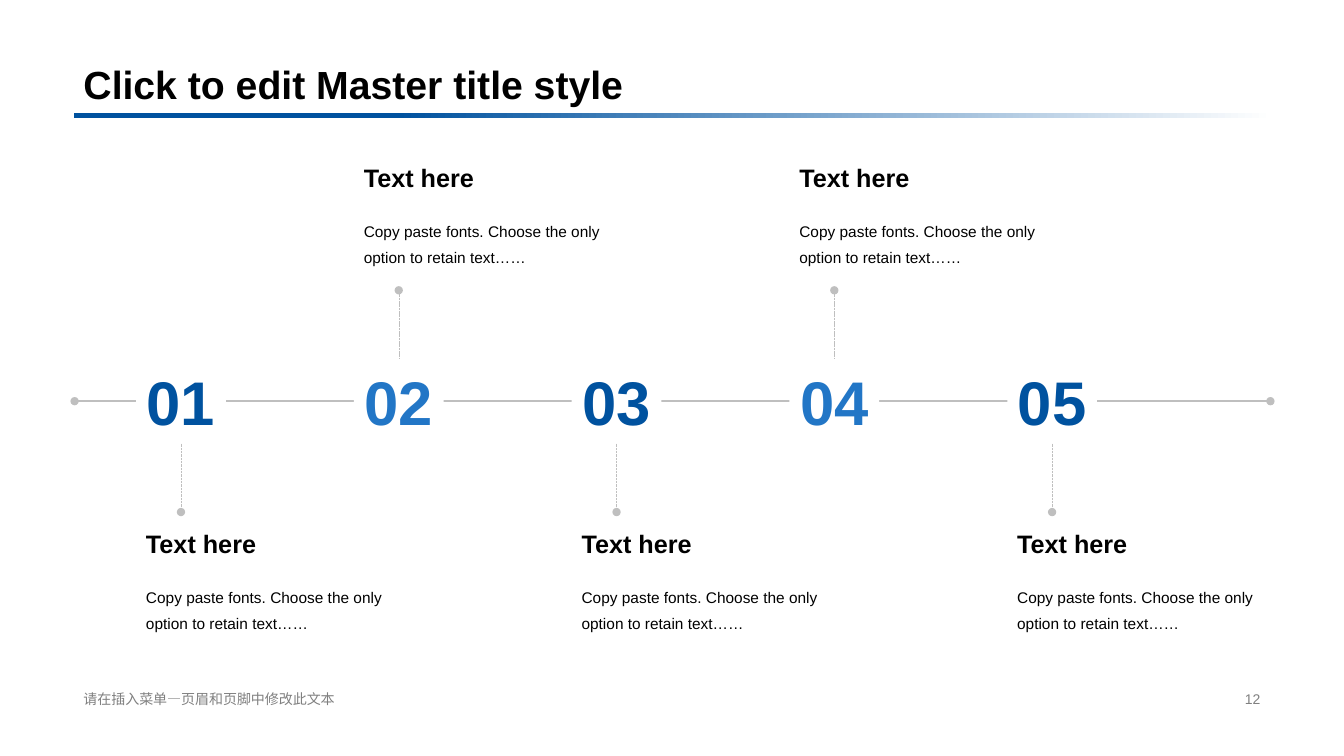
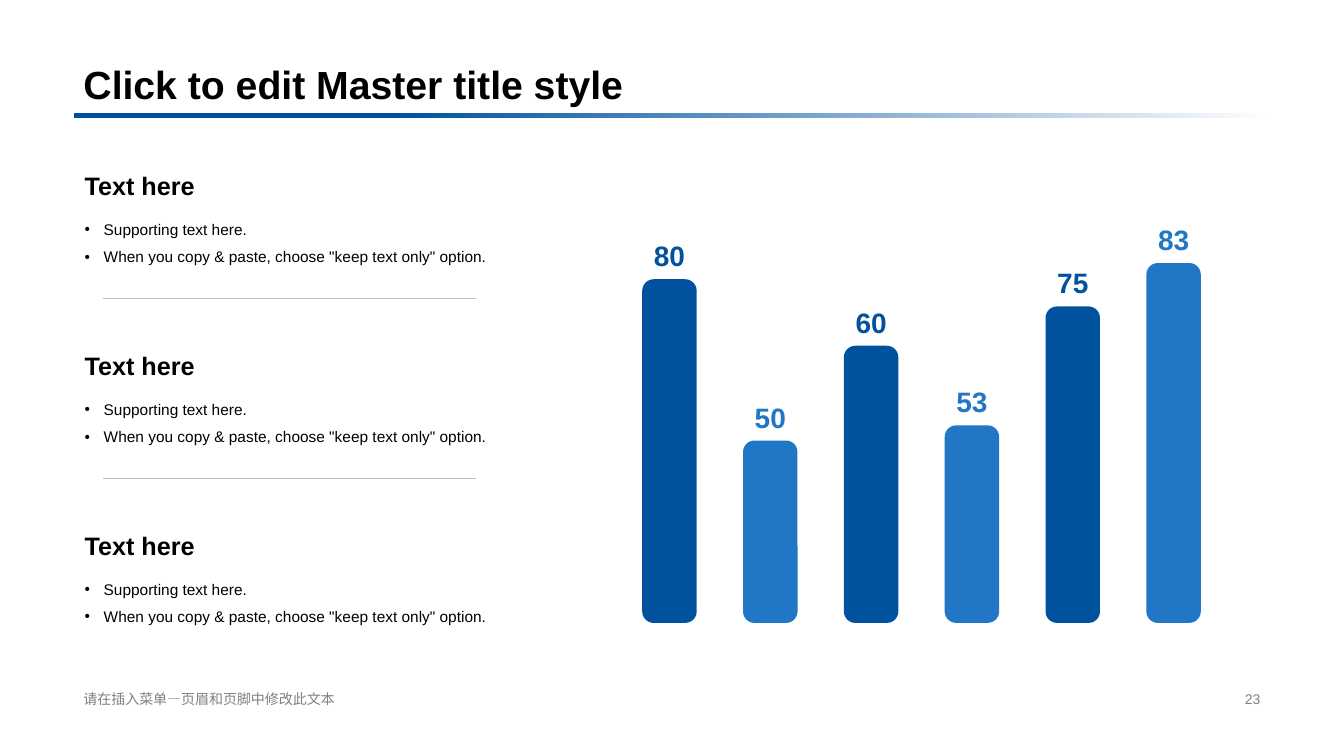
from pptx import Presentation
from pptx.dml.color import RGBColor
from pptx.enum.dml import MSO_LINE
from pptx.enum.shapes import MSO_CONNECTOR, MSO_SHAPE
from pptx.enum.text import MSO_ANCHOR, PP_ALIGN
from pptx.oxml.ns import qn
from pptx.util import Inches, Pt
from lxml.etree import SubElement

NAVY = RGBColor(0x00, 0x52, 0x9F)
BLUE = RGBColor(0x22, 0x76, 0xC6)
BLACK = RGBColor(0, 0, 0)
WHITE = RGBColor(0xFF, 0xFF, 0xFF)
GRAY = RGBColor(0x80, 0x80, 0x80)
SILVER = RGBColor(0xBF, 0xBF, 0xBF)
TINTS = NAVY, BLUE
FONT = "Arial"

TITLE = "Click to edit Master title style"
FOOTER = "请在插入菜单—页眉和页脚中修改此文本"

STEPS = [
    (num, "Text here",
     "Copy paste fonts. Choose the only option to retain text……")
    for num in ("01", "02", "03", "04", "05")
]
POINTS = [
    ("Text here",
     ["Supporting text here.",
      'When you copy & paste, choose "keep text only" option.'])
] * 3
# value shown, bar height in inches
BARS = [("80", 3.41), ("50", 1.81), ("60", 2.75),
        ("53", 1.96), ("75", 3.14), ("83", 3.57)]


def box(x, y, w, h):
    return Inches(x), Inches(y), Inches(w), Inches(h)


def write(shape, lines, size, color=BLACK, bold=False, align=PP_ALIGN.LEFT,
          anchor=MSO_ANCHOR.MIDDLE, space=None, bullet=False, wrap=True):
    """Fill a shape with one paragraph per line, all in the same style."""
    frame = shape.text_frame
    frame.text = "\n".join(lines)
    frame.word_wrap = wrap
    frame.vertical_anchor = anchor
    for para in frame.paragraphs:
        if bullet:
            props = para._p.get_or_add_pPr()
            props.set("marL", str(Inches(0.19)))
            props.set("indent", str(-Inches(0.19)))
            SubElement(props, qn("a:buFont")).set("typeface", FONT)
            SubElement(props, qn("a:buChar")).set("char", "•")
        para.alignment = align
        if space:
            para.line_spacing = space
        for run in para.runs:
            font = run.font
            font.name, font.size, font.bold = FONT, Pt(size), bold
            font.color.rgb = color


def add_text(slide, place, lines, size, **style):
    write(slide.shapes.add_textbox(*box(*place)), lines, size, **style)


def add_block(slide, kind, place, color):
    block = slide.shapes.add_shape(kind, *box(*place))
    block.shadow.inherit = False
    block.line.fill.background()
    block.fill.solid()
    block.fill.fore_color.rgb = color
    return block


def add_line(slide, x1, y1, x2, y2, width=0.25, dash=None, ends=()):
    """Draw a line; ends names the XML line ends that get a dot."""
    line = slide.shapes.add_connector(
        MSO_CONNECTOR.STRAIGHT, Inches(x1), Inches(y1), Inches(x2), Inches(y2))
    line.line.color.rgb = SILVER
    line.line.width = Pt(width)
    if dash:
        line.line.dash_style = dash
    props = line._element.spPr
    for end in ends:
        SubElement(props.find(qn("a:ln")), qn(end)).set("type", "oval")
    SubElement(props, qn("a:effectLst"))
    return line


def add_page(deck, number):
    slide = deck.slides.add_slide(deck.slide_layouts[6])
    band = add_block(slide, MSO_SHAPE.RECTANGLE, (0.73, 1.12, 11.89, 0.05), NAVY)
    band.fill.gradient()
    band.fill.gradient_angle = 0
    for stop, place, color in zip(band.fill.gradient_stops, (0.27, 1), (NAVY, WHITE)):
        stop.position = place
        stop.color.rgb = color
    add_text(slide, (0.73, 0, 11.87, 1.12), [TITLE], 28, bold=True,
             anchor=MSO_ANCHOR.BOTTOM, space=0.9)
    add_text(slide, (0.73, 6.82, 4.53, 0.23), [FOOTER], 10, color=GRAY)
    add_text(slide, (9.42, 6.82, 3.18, 0.23), [str(number)], 10,
             color=GRAY, align=PP_ALIGN.RIGHT)
    return slide


def add_steps(slide):
    top, wide, high, stem = 3.56, 0.89, 0.84, 0.68
    add_line(slide, 0.74, 3.98, 12.6, 3.98, 1, ends=("a:headEnd", "a:tailEnd"))
    for i, (num, head, body) in enumerate(STEPS):
        x, mid = 1.35 + 2.16 * i, 1.35 + 2.16 * i + wide / 2
        above = i % 2 == 1
        block = add_block(slide, MSO_SHAPE.RECTANGLE, (x, top, wide, high), WHITE)
        write(block, [num], 44, color=TINTS[i % 2], bold=True,
              align=PP_ALIGN.CENTER, wrap=False)
        start = top if above else top + high
        end = start - stem if above else start + stem
        line = add_line(slide, mid, start, mid, end, dash=MSO_LINE.SQUARE_DOT,
                        ends=("a:tailEnd",))
        line.begin_connect(block, 0 if above else 2)
        y = 1.52 if above else 5.15
        add_text(slide, (x, y, 2.6, 0.48), [head], 18, bold=True)
        add_text(slide, (x, y + 0.56, 2.6, 0.73), [body], 11,
                 anchor=MSO_ANCHOR.TOP, space=1.4)


def add_points(slide):
    for i, (head, items) in enumerate(POINTS):
        y = 1.63 + 1.785 * i
        add_text(slide, (0.74, y, 4.38, 0.42), [head], 18, bold=True)
        add_text(slide, (0.74, y + 0.41, 4.38, 0.72), items, 11,
                 anchor=MSO_ANCHOR.TOP, space=1.5, bullet=True)
        if i < len(POINTS) - 1:
            add_line(slide, 1.02, y + 1.33, 4.72, y + 1.33)


def add_bars(slide):
    base, wide, label = 6.18, 0.54, 0.75
    for i, (value, high) in enumerate(BARS):
        x, y, color = 6.37 + i, base - high, TINTS[i % 2]
        bar = add_block(slide, MSO_SHAPE.ROUNDED_RECTANGLE, (x, y, wide, high), color)
        bar.adjustments[0] = 0.21
        add_text(slide, (x + (wide - label) / 2, y - 0.55, label, 0.63), [value],
                 20, color=color, bold=True, align=PP_ALIGN.CENTER)


def main():
    deck = Presentation()
    deck.slide_width, deck.slide_height = Inches(13.33), Inches(7.5)
    add_steps(add_page(deck, 12))
    slide = add_page(deck, 23)
    add_points(slide)
    add_bars(slide)
    deck.save("out.pptx")


if __name__ == "__main__":
    main()
